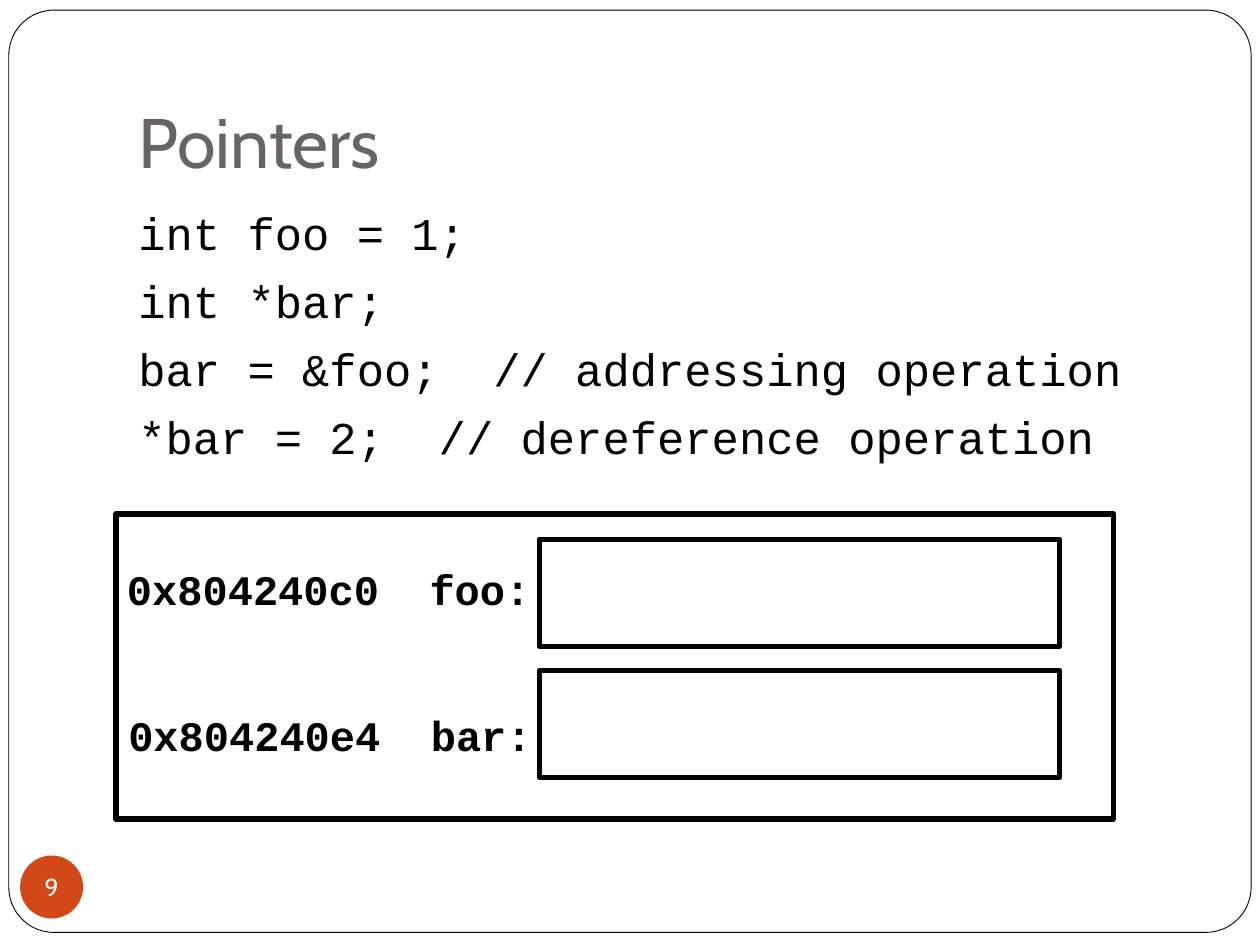
from pptx import Presentation
from pptx.dml.color import RGBColor
from pptx.enum.shapes import MSO_SHAPE as Preset
from pptx.enum.text import MSO_ANCHOR as Anchor, PP_ALIGN as Align
from pptx.util import Inches, Pt

BLACK, WHITE, GREY, ORANGE = "000000", "FFFFFF", "696464", "D34817"
CODE_FONT, TEXT_FONT = "Courier New", "Cabin"

presentation = Presentation()
presentation.slide_width, presentation.slide_height = Inches(10), Inches(7.5)
slide = presentation.slides.add_slide(presentation.slide_layouts[6])


def add_shape(preset, box, fill=None, line_width=None):
    shape = slide.shapes.add_shape(preset, *map(Inches, box))
    shape.shadow.inherit = False
    if fill:
        shape.fill.solid()
        shape.fill.fore_color.rgb = RGBColor.from_string(fill)
    else:
        shape.fill.background()
    if line_width:
        shape.line.width = Pt(line_width)
        shape.line.color.rgb = RGBColor.from_string(BLACK)
    else:
        shape.line.fill.background()
    return shape


def write(shape, lines, font, size, color, bold=False, wrap=True, before=0):
    frame = shape.text_frame
    frame.word_wrap = wrap
    frame.text = "\n".join(lines)
    for paragraph in frame.paragraphs:
        paragraph.alignment = Align.LEFT
        paragraph.space_before = Pt(before)
        paragraph.font.name = font
        paragraph.font.size = Pt(size)
        paragraph.font.bold = bold
        paragraph.font.color.rgb = RGBColor.from_string(color)
    return frame


# Rounded page frame
page_frame = add_shape(Preset.ROUNDED_RECTANGLE, (0.07, 0.08, 9.86, 7.32), WHITE, 0.5)
page_frame.adjustments[0] = 0.049

# Title
title = slide.shapes.add_textbox(*map(Inches, (1, 0.3, 8.5, 1.25)))
title_frame = write(title, ["Pointers"], TEXT_FONT, 40, GREY)
title_frame.vertical_anchor = Anchor.BOTTOM
title_frame.margin_bottom = Inches(0.1)

# Slide number badge
badge = add_shape(Preset.OVAL, (0.16, 6.79, 0.5, 0.5), ORANGE)
badge_frame = write(badge, ["9"], TEXT_FONT, 14, WHITE, wrap=False)
badge_frame.vertical_anchor = Anchor.MIDDLE
badge_frame.margin_left = badge_frame.margin_right = 0
badge_frame.margin_top = badge_frame.margin_bottom = 0
badge_frame.paragraphs[0].alignment = Align.CENTER

# Code listing
code_lines = [
    "int foo = 1;",
    "int *bar;",
    "bar = &foo;  // addressing operation",
    "*bar = 2;  // dereference operation",
]
code = slide.shapes.add_textbox(*map(Inches, (1, 1.58, 8.5, 5)))
write(code, code_lines, CODE_FONT, 26, BLACK, before=7.6)

# Memory diagram: one cell per variable
add_shape(Preset.RECTANGLE, (0.92, 4.08, 7.92, 2.42), line_width=3)
memory_cells = [
    ("0x804240c0  foo:", 0.91, 4.42, 4.28),
    ("0x804240e4  bar:", 0.92, 5.58, 5.32),
]
for text, label_left, label_top, cell_top in memory_cells:
    add_shape(Preset.RECTANGLE, (4.28, cell_top, 4.13, 0.85), line_width=3)
    label = slide.shapes.add_textbox(*map(Inches, (label_left, label_top, 3.43, 0.5)))
    write(label, [text], CODE_FONT, 24, BLACK, bold=True, wrap=False)

presentation.save("out.pptx")
